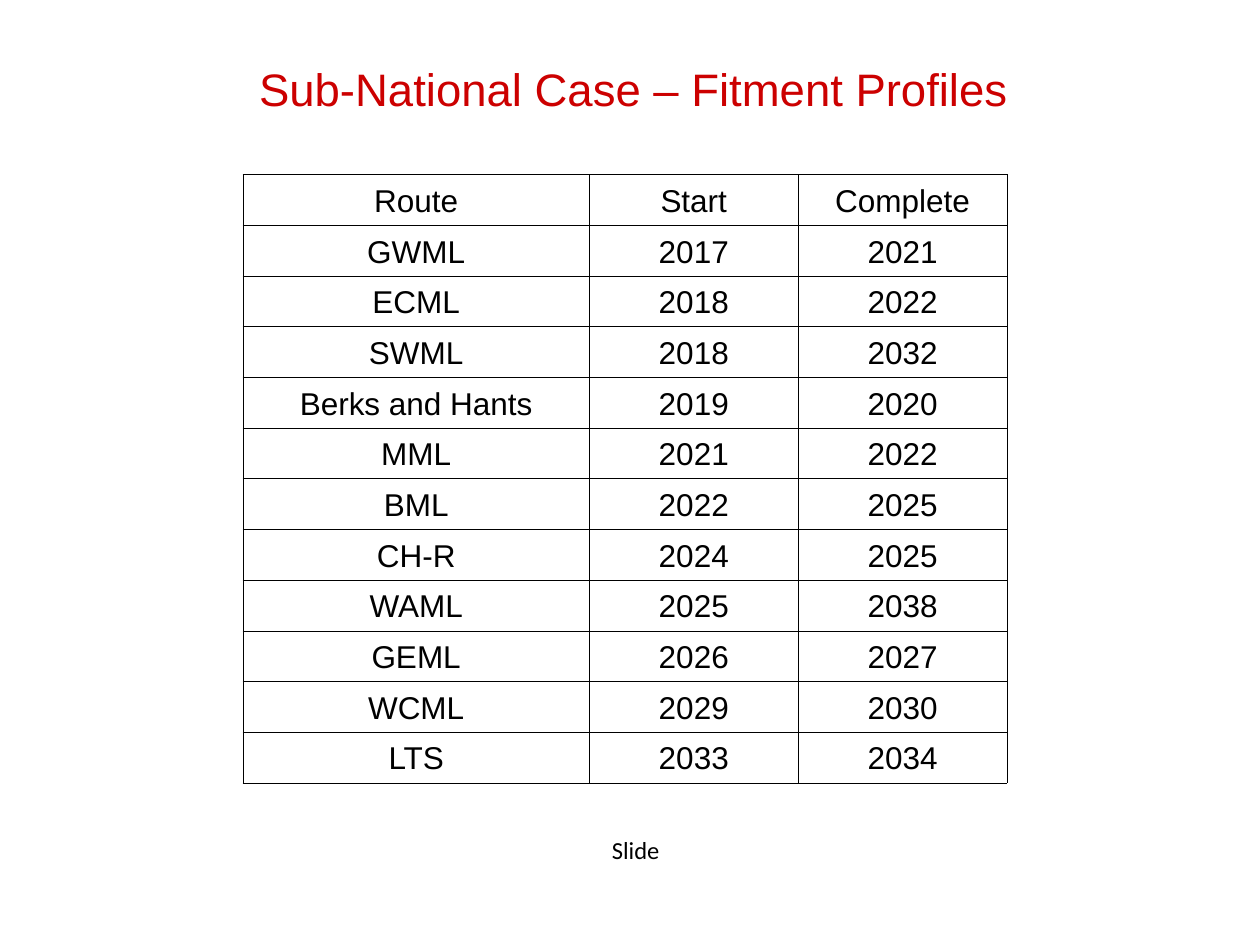
from lxml.etree import SubElement
from pptx import Presentation
from pptx.dml.color import RGBColor
from pptx.enum.text import MSO_ANCHOR, PP_ALIGN
from pptx.oxml.ns import qn
from pptx.util import Cm, Pt

TITLE = "Sub-National Case – Fitment Profiles"
FOOTER = "Slide"
ROUTES = [
    ("Route", "Start", "Complete"),
    ("GWML", "2017", "2021"),
    ("ECML", "2018", "2022"),
    ("SWML", "2018", "2032"),
    ("Berks and Hants", "2019", "2020"),
    ("MML", "2021", "2022"),
    ("BML", "2022", "2025"),
    ("CH-R", "2024", "2025"),
    ("WAML", "2025", "2038"),
    ("GEML", "2026", "2027"),
    ("WCML", "2029", "2030"),
    ("LTS", "2033", "2034"),
]
COLUMN_WIDTHS = (6.98, 4.21, 4.21)
TABLE_LEFT, TABLE_TOP, TABLE_HEIGHT = 4.9, 3.52, 12.27
BLACK, RED = "000000", "CC0000"


def write(tf, text, size, font="Arial", color=BLACK):
    """Fill a text frame with one centred, formatted paragraph."""
    tf.text = text
    p = tf.paragraphs[0]
    p.alignment = PP_ALIGN.CENTER
    r = p.runs[0]
    r.font.size = Pt(size)
    r.font.name = font
    r.font.color.rgb = RGBColor.from_string(color)


def add_text(s, box, anchor, *style):
    tf = s.shapes.add_textbox(*map(Cm, box)).text_frame
    tf.word_wrap = True
    tf.vertical_anchor = anchor
    write(tf, *style)


def set_borders(cell, color, width):
    tc_pr = cell._tc.get_or_add_tcPr()
    for i, side in enumerate(("a:lnL", "a:lnR", "a:lnT", "a:lnB")):
        ln = SubElement(tc_pr, qn(side), w=str(Pt(width)))
        fill = SubElement(ln, qn("a:solidFill"))
        SubElement(fill, qn("a:srgbClr"), val=color)
        tc_pr.remove(ln)
        tc_pr.insert(i, ln)  # borders must come before the fill


def add_route_table(s):
    table = s.shapes.add_table(
        len(ROUTES), len(COLUMN_WIDTHS), Cm(TABLE_LEFT), Cm(TABLE_TOP),
        Cm(sum(COLUMN_WIDTHS)), Cm(TABLE_HEIGHT)).table
    table.first_row = table.horz_banding = False
    for column, width in zip(table.columns, COLUMN_WIDTHS):
        column.width = Cm(width)
    for i, values in enumerate(ROUTES):
        table.rows[i].height = Cm(TABLE_HEIGHT / len(ROUTES))
        for j, value in enumerate(values):
            cell = table.cell(i, j)
            cell.fill.background()
            cell.vertical_anchor = MSO_ANCHOR.BOTTOM
            write(cell.text_frame, value, 18)
            set_borders(cell, BLACK, 0.45)


def main():
    prs = Presentation()
    prs.slide_width, prs.slide_height = Cm(25.4), Cm(19.05)
    s = prs.slides.add_slide(prs.slide_layouts[6])
    add_route_table(s)
    add_text(s, (1.98, 0.92, 21.6, 1.73), MSO_ANCHOR.MIDDLE, TITLE, 26, "Arial", RED)
    add_text(s, (8.69, 16.71, 8.25, 1.27), MSO_ANCHOR.TOP, FOOTER, 14, "Calibri")
    prs.save("out.pptx")


if __name__ == "__main__":
    main()
